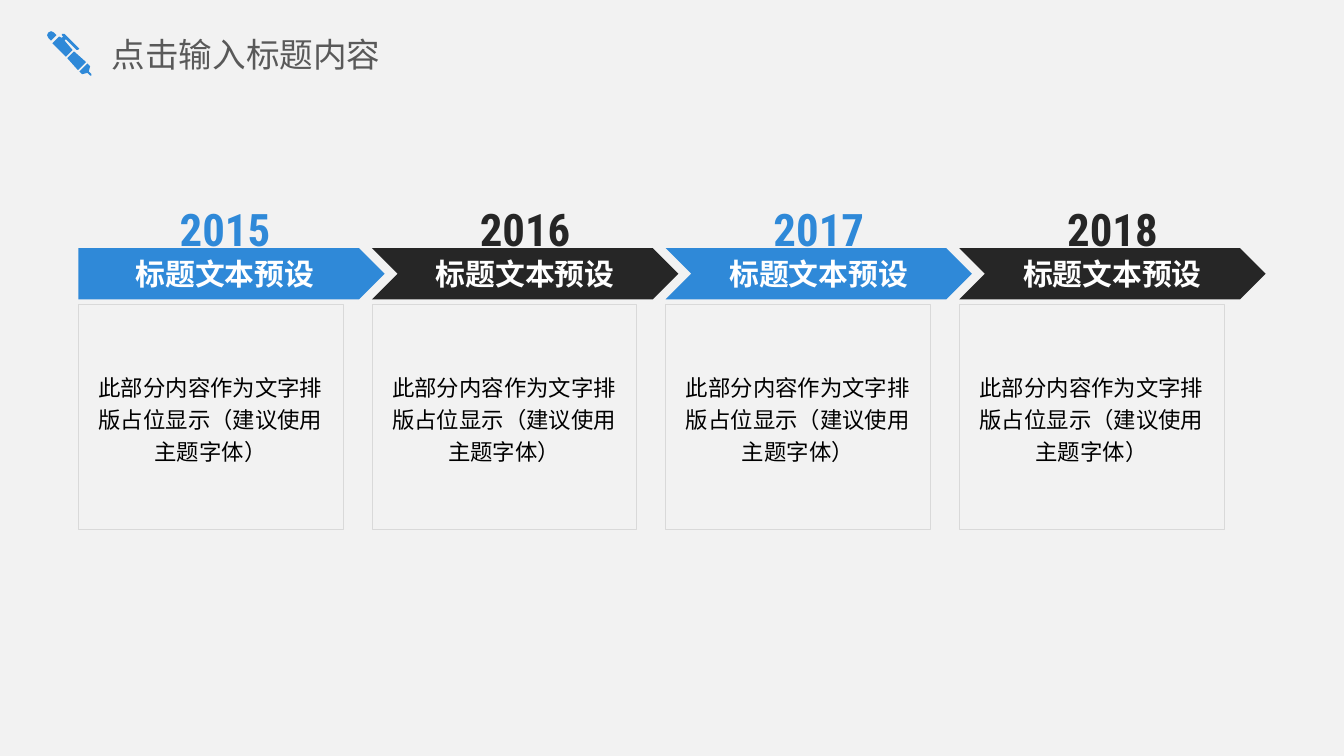
from dataclasses import dataclass

from lxml.etree import SubElement
from pptx import Presentation
from pptx.dml.color import RGBColor as Rgb
from pptx.enum.shapes import MSO_SHAPE as Kind
from pptx.enum.text import MSO_ANCHOR as Anchor, MSO_AUTO_SIZE as Fit, PP_ALIGN as Align
from pptx.oxml.ns import qn
from pptx.util import Cm, Pt


@dataclass(frozen=True)
class Theme:
    back: Rgb = Rgb(0xF2, 0xF2, 0xF2)
    blue: Rgb = Rgb(0x2F, 0x89, 0xD8)
    dark: Rgb = Rgb(0x26, 0x26, 0x26)
    edge: Rgb = Rgb(0xD9, 0xD9, 0xD9)
    gray: Rgb = Rgb(0x59, 0x59, 0x59)
    black: Rgb = Rgb(0, 0, 0)
    white: Rgb = Rgb(255, 255, 255)
    body: str = "Calibri"
    digit: str = "Roboto Condensed"
    asian: str = "Noto Sans CJK SC"
    head: Pt = Pt(18)
    year: Pt = Pt(24)
    label: Pt = Pt(16)
    note: Pt = Pt(12)


T = Theme()
TITLE = "点击输入标题内容"
LABEL = "标题文本预设"
NOTE = "此部分内容作为文字排版占位显示（建议使用主题字体）"
YEARS = ["2015", "2016", "2017", "2018"]
PEN = [
    [(30, 24), (24, 30), (26, 32), (30, 31), (32, 33), (33, 33), (33, 32), (31, 30), (32, 26)],
    [(20, 15), (15, 20), (23, 29), (29, 23)],
    [(13, 2), (12, 1.5), (11, 2), (11, 3), (12, 4), (11, 5), (9, 4), (4, 9), (14, 19),
     (19, 14), (13, 7), (14, 6), (22, 14), (23, 14), (23.5, 13), (23, 12)],
    [(3, 0), (1, 1), (0, 3), (1, 5), (3, 7), (7, 3), (5, 1)],
]


def apply(item, form):
    for key, value in form.items():
        setattr(item, key, value)


def write(shape, text, color, font, frame, para):
    body = shape.text_frame
    apply(body, {"vertical_anchor": Anchor.MIDDLE, "auto_size": Fit.NONE, **frame})
    line = body.paragraphs[0]
    apply(line, para)
    run = line.add_run()
    run.text = text
    apply(run.font, font)
    run.font.color.rgb = color
    SubElement(run.font._element, qn("a:ea")).set("typeface", T.asian)


def paint(shape, fill=None, edge=None):
    shape.shadow.inherit = False
    if fill is None:
        shape.fill.background()
    else:
        shape.fill.solid()
        shape.fill.fore_color.rgb = fill
    if edge is None:
        shape.line.fill.background()
    else:
        shape.line.color.rgb = edge
        shape.line.width = Pt(0.25)


def draw_pen(slide, x, y, size):
    first = PEN[0][0]
    form = slide.shapes.build_freeform(*first, scale=Cm(size) / 33)
    for part in PEN:
        if part[0] != first:
            form.move_to(*part[0])
        form.add_line_segments(part[1:], close=True)
    paint(form.convert_to_shape(Cm(x), Cm(y)), T.blue)


def draw_head(slide, x, y, w, h):
    draw_pen(slide, x, y + 0.11, 0.84)
    title = slide.shapes.title
    apply(title, {"left": Cm(x + 1.22), "top": Cm(y), "width": Cm(w - 1.22), "height": Cm(h)})
    write(title, TITLE, T.gray, {"name": T.asian, "size": T.head, "bold": False},
          {"margin_left": 0, "margin_right": 0, "word_wrap": True},
          {"alignment": Align.LEFT})


def draw_step(slide, x, y, w, year, kind, color, span):
    group = slide.shapes.add_group_shape()

    def add(form, dx, dy, wide, high):
        return group.shapes.add_shape(form, Cm(x + dx), Cm(y + dy), Cm(wide), Cm(high))

    card = add(Kind.RECTANGLE, 0, 1.93, 5, 4.24)
    paint(card, T.back, T.edge)
    write(card, NOTE, T.black, {"name": T.body, "size": T.note},
          {"word_wrap": True}, {"alignment": Align.CENTER, "line_spacing": 1.2})

    rows = [
        (0, 0.86, w, color, LABEL, T.white, T.body, T.label),
        ((w - span) / 2, 0, span, None, year, color, T.digit, T.year),
    ]
    for dx, dy, wide, fill, text, ink, name, size in rows:
        shape = add(kind, dx, dy, wide, 0.97)
        paint(shape, fill)
        write(shape, text, ink, {"name": name, "size": size, "bold": True},
              {"word_wrap": False}, {"alignment": Align.CENTER})


def draw_line(slide, x, y, w, step):
    for i, year in enumerate(YEARS):
        kind, span = (Kind.CHEVRON, 3.6) if i else (Kind.PENTAGON, 2.54)
        color = T.dark if i % 2 else T.blue
        draw_step(slide, x + i * step, y, w, year, kind, color, span)


def main():
    deck = Presentation()
    apply(deck, {"slide_width": Cm(25.4), "slide_height": Cm(14.29)})
    slide = deck.slides.add_slide(deck.slide_layouts[5])
    slide.background.fill.solid()
    slide.background.fill.fore_color.rgb = T.back
    draw_line(slide, 1.48, 3.83, 5.79, 5.55)
    draw_head(slide, 0.89, 0.48, 7.14, 1.07)
    deck.save("out.pptx")


if __name__ == "__main__":
    main()
